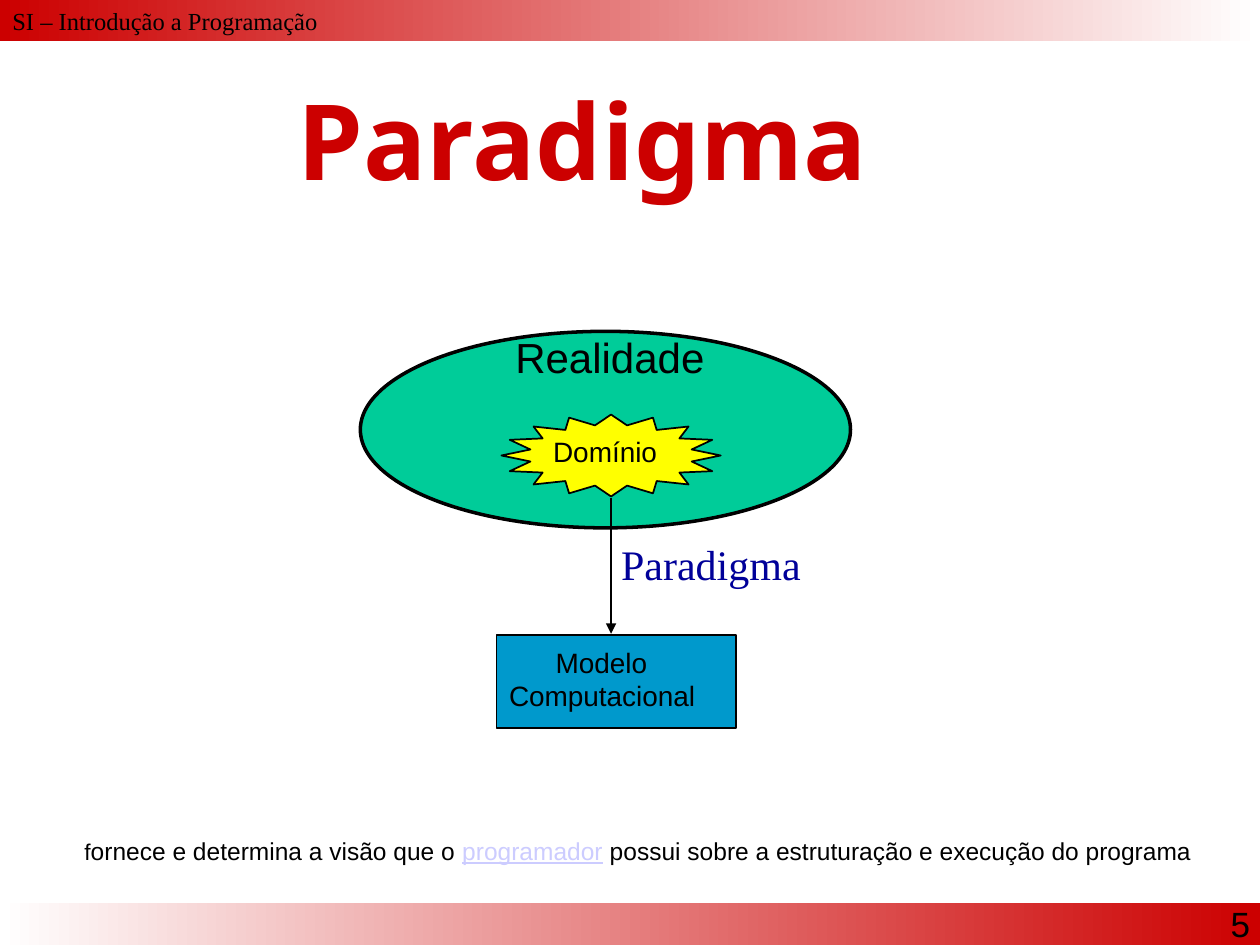
from pptx import Presentation
from pptx.util import Inches, Pt
from pptx.dml.color import RGBColor
from pptx.enum.shapes import MSO_SHAPE as Kind, MSO_CONNECTOR as Link
from pptx.enum.text import PP_ALIGN as Align, MSO_ANCHOR as Anchor
from pptx.oxml.ns import qn
from lxml.etree import SubElement as Sub

BLACK, WHITE, RED = "000000", "FFFFFF", "CC0000"
SERIF = "Times New Roman"


def color(code):
    return RGBColor.from_string(code)


def style(run, size, font="Arial", ink=BLACK, bold=False):
    run.font.size = Pt(size)
    run.font.name = font
    run.font.bold = bold
    run.font.color.rgb = color(ink)


def add_band(slide, top, start, end):
    band = slide.shapes.add_shape(Kind.RECTANGLE, 0, Inches(top), Inches(10), Inches(0.33))
    band.shadow.inherit = False
    band.line.fill.background()
    band.fill.gradient()
    band.fill.gradient_angle = 0
    for stop, place, code in zip(band.fill.gradient_stops, (0, 1), (start, end)):
        stop.position = place
        stop.color.rgb = color(code)


def add_form(slide, kind, box, fill, width=1):
    form = slide.shapes.add_shape(kind, *map(Inches, box))
    form.shadow.inherit = False
    form.fill.solid()
    form.fill.fore_color.rgb = color(fill)
    form.line.color.rgb = color(BLACK)
    form.line.width = Pt(width)
    return form


def add_text(slide, box, text, size, inset=(0.08, 0, 0.04, 0), **look):
    frame = slide.shapes.add_textbox(*map(Inches, box)).text_frame
    frame.word_wrap = True
    (frame.margin_left, frame.margin_top,
     frame.margin_right, frame.margin_bottom) = map(Inches, inset)
    frame.text = text
    for para in frame.paragraphs:
        for run in para.runs:
            style(run, size, **look)
    return frame


def add_arrow(slide, x, top, end):
    arrow = slide.shapes.add_connector(Link.STRAIGHT, *map(Inches, (x, top, x, end)))
    arrow.line.color.rgb = color(BLACK)
    arrow.line.width = Pt(1)
    Sub(arrow.line._get_or_add_ln(), qn("a:tailEnd"), type="triangle")
    Sub(arrow._element.spPr, qn("a:effectLst"))


def add_note(slide):
    frame = add_text(slide, (0.67, 6.56, 8.89, 0.35), "", 14, (0, 0, 0, 0))
    frame.vertical_anchor = Anchor.MIDDLE
    para = frame.paragraphs[0]
    para.line_spacing = Pt(19)
    para.space_before = Pt(6)
    parts = (
        ("f", 13, BLACK),
        ("ornece e determina a visão que o ", 14, BLACK),
        ("programador", 14, "CCCCFF"),
        (" possui sobre a estruturação e execução do programa", 14, BLACK),
    )
    for text, size, ink in parts:
        run = para.add_run()
        run.text = text
        style(run, size, ink=ink)
        run.font.underline = ink != BLACK


def main():
    deck = Presentation()
    deck.slide_width, deck.slide_height = Inches(10), Inches(7.5)
    slide = deck.slides.add_slide(deck.slide_layouts[6])

    # Header and footer
    edge = (0.1, 0.05, 0.1, 0.05)
    add_band(slide, 7.17, WHITE, RED)
    add_band(slide, 0, RED, WHITE)
    add_text(slide, (0, 0, 10, 0.5), "SI – Introdução a Programação", 14, edge, font=SERIF)
    page = add_text(slide, (8.67, 7.11, 1.35, 0.5), "5", 20, edge)
    page.paragraphs[0].alignment = Align.RIGHT

    # Reality and its domain
    add_form(slide, Kind.OVAL, (2.86, 2.63, 3.89, 1.56), "00CC99", 2)
    star = add_form(slide, Kind.STAR_16_POINT, (3.98, 3.29, 1.74, 0.65), "FFFF00")
    star.adjustments[0] = 0.375
    add_text(slide, (4.01, 2.63, 1.74, 0.49), "Realidade", 24)
    add_text(slide, (4.31, 3.45, 1.35, 0.35), "Domínio", 16)

    # Computational model
    add_form(slide, Kind.RECTANGLE, (3.94, 5.04, 1.9, 0.74), "0099CC")
    model = add_text(slide, (3.96, 5.12, 1.81, 0.6), "Modelo\nComputacional", 16)
    model.paragraphs[0]._p.get_or_add_pPr().set("indent", str(Inches(0.37)))
    add_arrow(slide, 4.85, 3.95, 5.03)

    # Title, arrow label and closing line
    add_text(slide, (2.28, 0.6, 4.85, 1.1), "Paradigma", 60,
             font="Noto Sans", ink=RED, bold=True)
    label = add_text(slide, (4.85, 4.38, 1.92, 0.47), "Paradigma", 24,
                     font=SERIF, ink="000099")
    label.paragraphs[0].line_spacing = 0.7
    add_note(slide)

    deck.save("out.pptx")


main()
